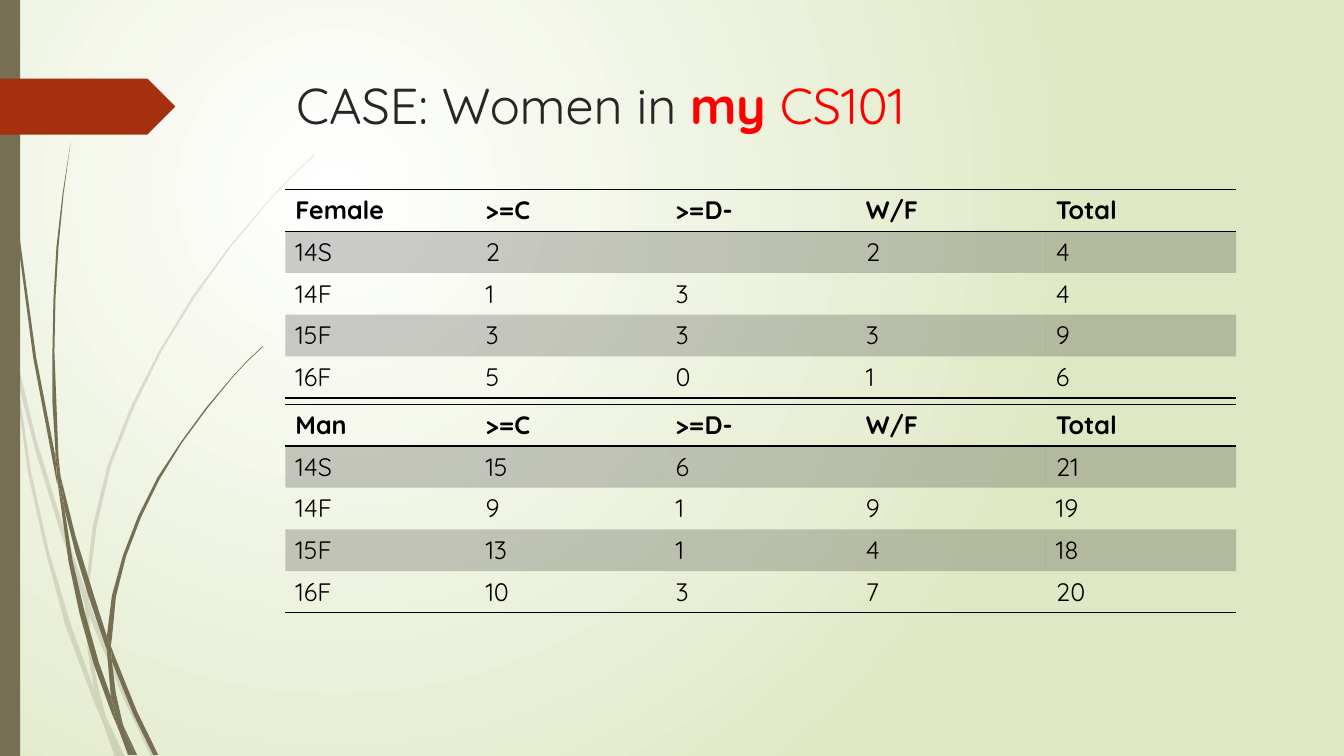
from lxml.etree import SubElement
from pptx import Presentation
from pptx.dml.color import RGBColor
from pptx.enum.shapes import MSO_SHAPE
from pptx.oxml import parse_xml
from pptx.oxml.ns import nsdecls, qn
from pptx.util import Inches, Pt

FONT = "Quicksand"
BROWN = "766F54"
BLACK = "000000"


def paint(fill, hex_color, opacity=100):
    fill.solid()
    fill.fore_color.rgb = RGBColor.from_string(hex_color)
    if opacity < 100:
        color = fill._xPr.find(qn("a:solidFill") + "/" + qn("a:srgbClr"))
        SubElement(color, qn("a:alpha")).set("val", str(opacity * 1000))


presentation = Presentation()
presentation.slide_width = Inches(13.33)
presentation.slide_height = Inches(7.5)
column = presentation.slide_width / 100
row = presentation.slide_height / 100
slide = presentation.slides.add_slide(presentation.slide_layouts[6])

background = slide.background.fill
background.gradient()
for stop, hex_color in zip(background.gradient_stops, ["FFFFFF", "DFE8C4"]):
    stop.color.rgb = RGBColor.from_string(hex_color)
gradient = slide.element.find(".//" + qn("a:gradFill"))
gradient.remove(gradient.find(qn("a:lin")))
gradient.append(parse_xml(
    f'<a:path {nsdecls("a")} path="circle">'
    '<a:fillToRect l="50000" t="50000" r="100000" b="100000"/></a:path>'
))

pale_blades = [
    [(0.11, 3.5), (0.09, 3.22), (0, 2.82), (0, 2.99), (0.1, 3.44)],
    [(0.58, 5.22), (0.84, 5.99), (0.85, 5.86), (0.62, 5.2), (0.36, 4.36),
     (0.14, 3.45), (0.17, 3.76), (0.35, 4.47)],
    [(0.92, 6.07), (0.88, 5.96), (0.88, 6.1), (1.23, 6.94), (1.5, 7.51),
     (1.55, 7.51), (1.27, 6.92)],
    [(1.19, 7.51), (1.24, 7.51), (1.05, 7.11)],
    [(0.93, 6.83), (0.7, 6.19), (0.48, 5.45), (0.31, 4.69), (0.17, 3.76),
     (0.11, 3.5), (0.28, 4.7), (0.45, 5.46), (0.65, 6.21), (0.92, 6.93),
     (1.01, 7.14), (0.99, 7.07)],
    [(0.84, 5.99), (0.87, 6.46), (0.93, 6.83), (0.96, 6.92), (1.05, 7.11),
     (0.96, 6.76), (0.91, 6.46), (0.88, 6.1), (0.88, 6.08)],
    [(0.88, 5.84), (0.96, 5.22), (1.1, 4.62), (1.33, 4.04), (1.6, 3.49),
     (1.93, 2.95), (2.29, 2.45), (2.68, 1.98), (2.9, 1.75), (3.12, 1.54),
     (3.12, 1.53), (2.89, 1.75), (2.68, 1.97), (2.28, 2.44), (1.91, 2.94),
     (1.58, 3.48), (1.3, 4.03), (1.07, 4.61), (0.92, 5.22), (0.85, 5.84),
     (0.85, 5.86), (0.88, 5.96)],
    [(1.01, 7.14), (1.14, 7.51), (1.19, 7.51)],
    [(0.88, 6.08), (0.88, 5.96), (0.85, 5.86), (0.84, 5.99)],
    [(0.96, 6.92), (0.93, 6.83), (0.99, 7.07), (1.01, 7.14), (1.19, 7.51),
     (1.05, 7.11)],
]
dark_blades = [
    [(0.07, 1.1), (0.17, 2.33), (0.33, 3.55), (0.56, 4.77), (0.57, 4.81),
     (0.55, 4.53), (0.36, 3.55), (0.19, 2.32), (0.08, 1.09), (0.05, 0.48),
     (0.04, 0), (0.03, 0), (0.04, 0.48)],
    [(0.88, 5.92), (1.06, 6.45), (1.06, 6.31), (0.93, 5.9), (0.75, 5.32),
     (0.6, 4.72), (0.64, 5.05), (0.75, 5.49)],
    [(1.13, 6.49), (1.1, 6.41), (1.11, 6.56), (1.32, 7.08), (1.52, 7.49),
     (1.57, 7.49), (1.36, 7.06)],
    [(1.1, 6.91), (0.98, 6.57), (0.84, 6.07), (0.72, 5.56), (0.64, 5.05),
     (0.57, 4.77), (0.68, 5.57), (0.79, 6.09), (0.93, 6.59), (1.11, 7.08),
     (1.17, 7.22), (1.16, 7.17)],
    [(0.6, 4.72), (0.58, 4.53), (0.54, 3.49), (0.55, 2.97), (0.58, 2.45),
     (0.63, 1.93), (0.7, 1.41), (0.62, 1.93), (0.56, 2.45), (0.53, 2.97),
     (0.52, 3.49), (0.52, 3.99), (0.55, 4.49)],
    [(1.33, 7.49), (1.36, 7.49), (1.22, 7.19)],
    [(0.57, 4.77), (0.64, 5.05), (0.6, 4.72), (0.55, 4.49), (0.55, 4.53)],
    [(1.11, 6.33), (1.15, 5.92), (1.25, 5.52), (1.4, 5.13), (1.58, 4.76),
     (1.8, 4.4), (2.05, 4.06), (2.31, 3.74), (2.45, 3.59), (2.61, 3.44),
     (2.6, 3.44), (2.45, 3.58), (2.31, 3.73), (2.04, 4.05), (1.79, 4.39),
     (1.56, 4.74), (1.37, 5.12), (1.22, 5.51), (1.11, 5.91), (1.06, 6.31),
     (1.1, 6.41)],
    [(1.17, 7.22), (1.27, 7.49), (1.31, 7.49)],
    [(1.06, 6.45), (1.1, 6.91), (1.16, 7.06), (1.22, 7.19), (1.15, 6.88),
     (1.11, 6.56), (1.09, 6.51)],
    [(1.06, 6.45), (1.11, 6.56), (1.1, 6.41), (1.06, 6.31)],
    [(1.16, 7.06), (1.1, 6.91), (1.16, 7.17), (1.17, 7.22), (1.3, 7.49),
     (1.33, 7.49), (1.22, 7.19)],
]
for blades, opacity in [(pale_blades, 20), (dark_blades, 100)]:
    group = slide.shapes.add_group_shape()
    for blade in blades:
        outline = [(Inches(x), Inches(y)) for x, y in blade]
        builder = group.shapes.build_freeform(*outline[0])
        builder.add_line_segments(outline[1:], close=True)
        shape = builder.convert_to_shape()
        shape.shadow.inherit = False
        paint(shape.fill, BROWN, opacity)
        shape.line.fill.background()

for kind, top, width, height, hex_color in [
    (MSO_SHAPE.RECTANGLE, 0, 1.5, 100, BROWN),
    (MSO_SHAPE.PENTAGON, 10.4, 13.05, 7.4, "A53010"),
]:
    shape = slide.shapes.add_shape(
        kind, 0, int(top * row), int(width * column), int(height * row))
    shape.shadow.inherit = False
    paint(shape.fill, hex_color)
    shape.line.fill.background()

title = slide.shapes.add_textbox(
    int(21.3 * column), int(9.2 * row), int(73.14 * column), int(18.67 * row))
title.text_frame.word_wrap = True
paragraph = title.text_frame.paragraphs[0]
for text, hex_color, bold in [
    ("CASE: Women in ", "262626", False),
    ("my", "FF0000", True),
    (" CS101", "FF0000", False),
]:
    run = paragraph.add_run()
    run.text = text
    run.font.name = FONT
    run.font.size = Pt(36)
    run.font.bold = bold
    paint(run.font.fill, hex_color)

grades = [">=C", ">=D-", "W/F", "Total"]
women = [
    ["Female", *grades],
    ["14S", "2", "", "2", "4"],
    ["14F", "1", "3", "", "4"],
    ["15F", "3", "3", "3", "9"],
    ["16F", "5", "0", "1", "6"],
]
men = [
    ["Man", *grades],
    ["14S", "15", "6", "", "21"],
    ["14F", "9", "1", "9", "19"],
    ["15F", "13", "1", "4", "18"],
    ["16F", "10", "3", "7", "20"],
]
for top, records in [(25.07, women), (53.47, men)]:
    frame = slide.shapes.add_table(
        len(records), len(records[0]), int(21.23 * column), int(top * row),
        int(70.74 * column), int(27.6 * row))
    table = frame.table
    table.first_row = False
    table.horz_banding = False
    style = frame.element.find(".//" + qn("a:tableStyleId"))
    style.text = "{2D5ABB26-0587-4C30-8999-92F81FD0307C}"
    for row_index, record in enumerate(records):
        borders = {0: ["lnT", "lnB"], len(records) - 1: ["lnB"]}.get(row_index, [])
        for column_index, text in enumerate(record):
            cell = table.cell(row_index, column_index)
            cell.text_frame.text = text
            paragraph = cell.text_frame.paragraphs[0]
            paragraph.font.size = Pt(18)
            for run in paragraph.runs:
                run.font.name = FONT
                run.font.size = Pt(18)
                run.font.bold = row_index == 0
                paint(run.font.fill, BLACK)
            if row_index % 2:
                paint(cell.fill, BLACK, 20)
            else:
                cell.fill.background()
            for position, border in enumerate(borders):
                cell._tc.get_or_add_tcPr().insert(position, parse_xml(
                    f'<a:{border} {nsdecls("a")} w="12700"><a:solidFill>'
                    f'<a:srgbClr val="{BLACK}"/></a:solidFill></a:{border}>'))

presentation.save("out.pptx")
